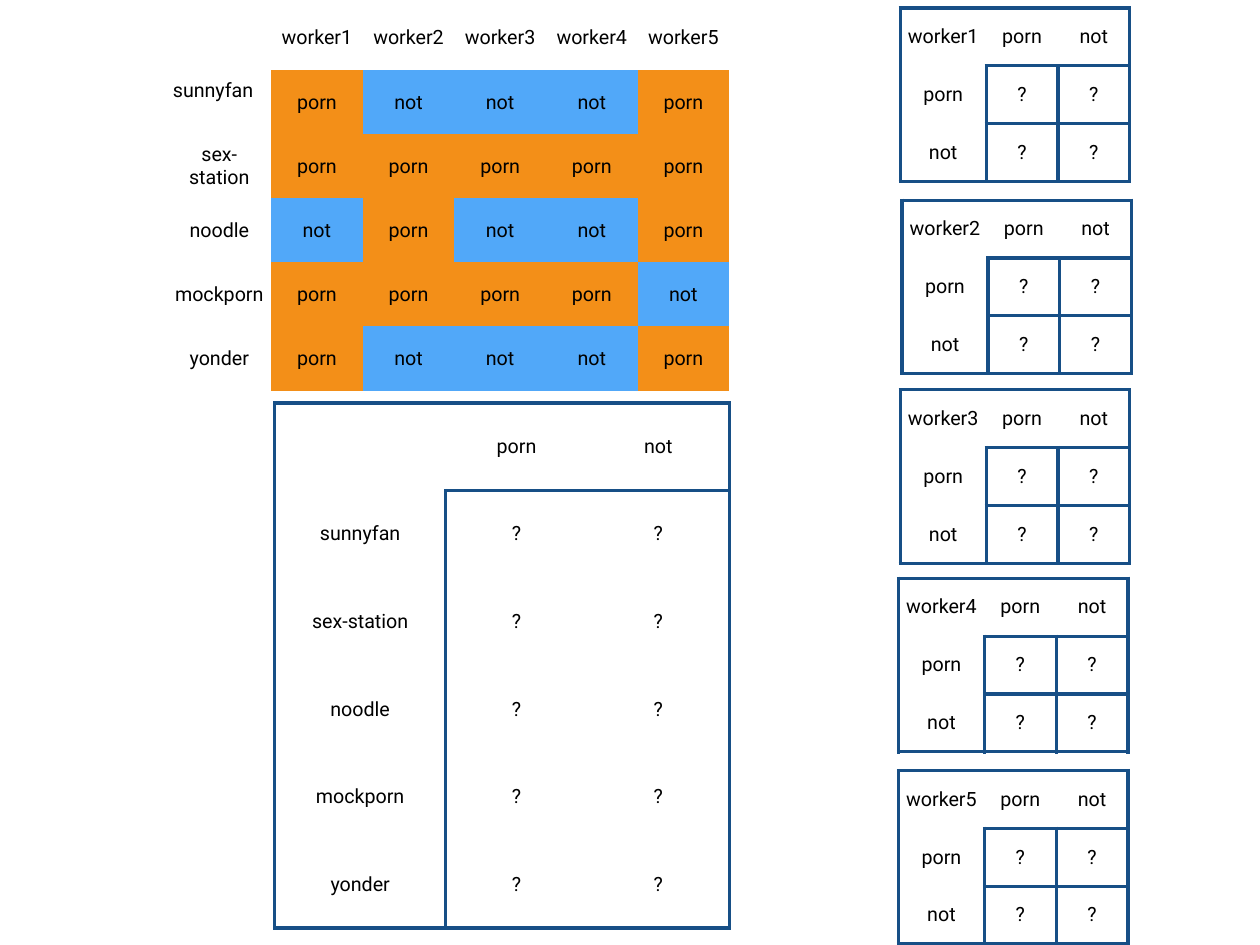
from lxml import etree
from pptx import Presentation
from pptx.dml.color import RGBColor
from pptx.enum.text import MSO_ANCHOR, PP_ALIGN
from pptx.oxml.ns import qn
from pptx.util import Inches, Pt

CENTER = PP_ALIGN.CENTER
MIDDLE = MSO_ANCHOR.MIDDLE
WHITE = RGBColor(0xFF, 0xFF, 0xFF)
BLACK = RGBColor(0x00, 0x00, 0x00)
ORANGE = RGBColor(0xF3, 0x8F, 0x18)
BLUE = RGBColor(0x51, 0xA8, 0xF9)
NAVY = RGBColor(0x17, 0x4F, 0x86)
LABEL_FILLS = {"porn": ORANGE, "not": BLUE}

WORKERS = ["worker1", "worker2", "worker3", "worker4", "worker5"]
CLASSES = ["porn", "not"]
VOTES = {
    "sunnyfan": ["porn", "not", "not", "not", "porn"],
    "sex-station": ["porn", "porn", "porn", "porn", "porn"],
    "noodle": ["not", "porn", "not", "not", "porn"],
    "mockporn": ["porn", "porn", "porn", "porn", "not"],
    "yonder": ["porn", "not", "not", "not", "porn"],
}
UNKNOWN = ["?", "?"]
MATRIX_CORNERS = [(10.16, 0.09), (10.18, 2.26), (10.16, 4.4), (10.14, 6.53), (10.14, 8.7)]


def set_borders(cell, sides):
    """Draw the named sides (L, R, T, B) in navy and clear the others."""
    properties = cell._tc.get_or_add_tcPr()
    for side in "LRTB":
        line = etree.SubElement(properties, qn("a:ln" + side), w=str(Pt(3)))
        if side in sides:
            fill = etree.SubElement(line, qn("a:solidFill"))
            etree.SubElement(fill, qn("a:srgbClr"), val=str(NAVY))
        else:
            etree.SubElement(line, qn("a:noFill"))


def framed_sides(row, column, last_row, last_column, body_grid):
    """Frame the table and its body, plus the lines inside the body if asked."""
    inside = body_grid and row > 0 and column > 0
    rules = {
        "L": column in (0, 1) and (column == 0 or row > 0) or inside,
        "R": column == last_column or (column == 0 and row > 0) or inside,
        "T": row in (0, 1) and (row == 0 or column > 0) or inside,
        "B": row == last_row or (row == 0 and column > 0) or inside,
    }
    return [side for side, drawn in rules.items() if drawn]


def add_grid(slide, rows, left, top, label_width, value_width, height,
             framed=True, body_grid=False):
    row_count, column_count = len(rows), len(rows[0])
    width = label_width + value_width * (column_count - 1)
    table = slide.shapes.add_table(row_count, column_count, Inches(left), Inches(top),
                                   Inches(width), Inches(height)).table
    table.first_row = False
    table.horz_banding = False
    for index, column in enumerate(table.columns):
        column.width = Inches(value_width if index else label_width)
    for row in table.rows:
        row.height = Inches(height / row_count)

    for row_index, row in enumerate(rows):
        for column_index, text in enumerate(row):
            cell = table.cell(row_index, column_index)
            sides = framed_sides(row_index, column_index, row_count - 1,
                                 column_count - 1, body_grid) if framed else []
            set_borders(cell, sides)
            cell.fill.solid()
            cell.fill.fore_color.rgb = WHITE
            cell.vertical_anchor = MIDDLE
            cell.margin_left = cell.margin_right = Inches(0.06)
            cell.margin_top = cell.margin_bottom = Inches(0.06)
            cell.text = text
            para = cell.text_frame.paragraphs[0]
            para.alignment = CENTER
            para.font.name = "Roboto"
            para.font.size = Pt(16)
            para.font.color.rgb = BLACK
    return table


deck = Presentation()
deck.slide_width = Inches(14.22)
deck.slide_height = Inches(10.67)
slide = deck.slides.add_slide(deck.slide_layouts[6])

vote_rows = [["", *WORKERS]] + [[site, *votes] for site, votes in VOTES.items()]
vote_table = add_grid(slide, vote_rows, 1.89, 0.07, 1.17, 5.17 / len(WORKERS), 4.34,
                      framed=False)
for row_index, votes in enumerate(VOTES.values(), start=1):
    for column_index, vote in enumerate(votes, start=1):
        vote_table.cell(row_index, column_index).fill.fore_color.rgb = LABEL_FILLS[vote]

# The first site name sits a little above and left of its cell centre
first_site = vote_table.cell(1, 0)
first_site.margin_left = Inches(0.02)
first_site.margin_right = Inches(0.16)
first_site.margin_bottom = Inches(0.31)

for worker, (left, top) in zip(WORKERS, MATRIX_CORNERS):
    matrix_rows = [[worker, *CLASSES]] + [[label, *UNKNOWN] for label in CLASSES]
    add_grid(slide, matrix_rows, left, top, 0.97, 0.81, 1.96, body_grid=True)

site_rows = [["", *CLASSES]] + [[site, *UNKNOWN] for site in VOTES]
add_grid(slide, site_rows, 3.1, 4.55, 1.93, 1.6, 5.93)

deck.save("out.pptx")
